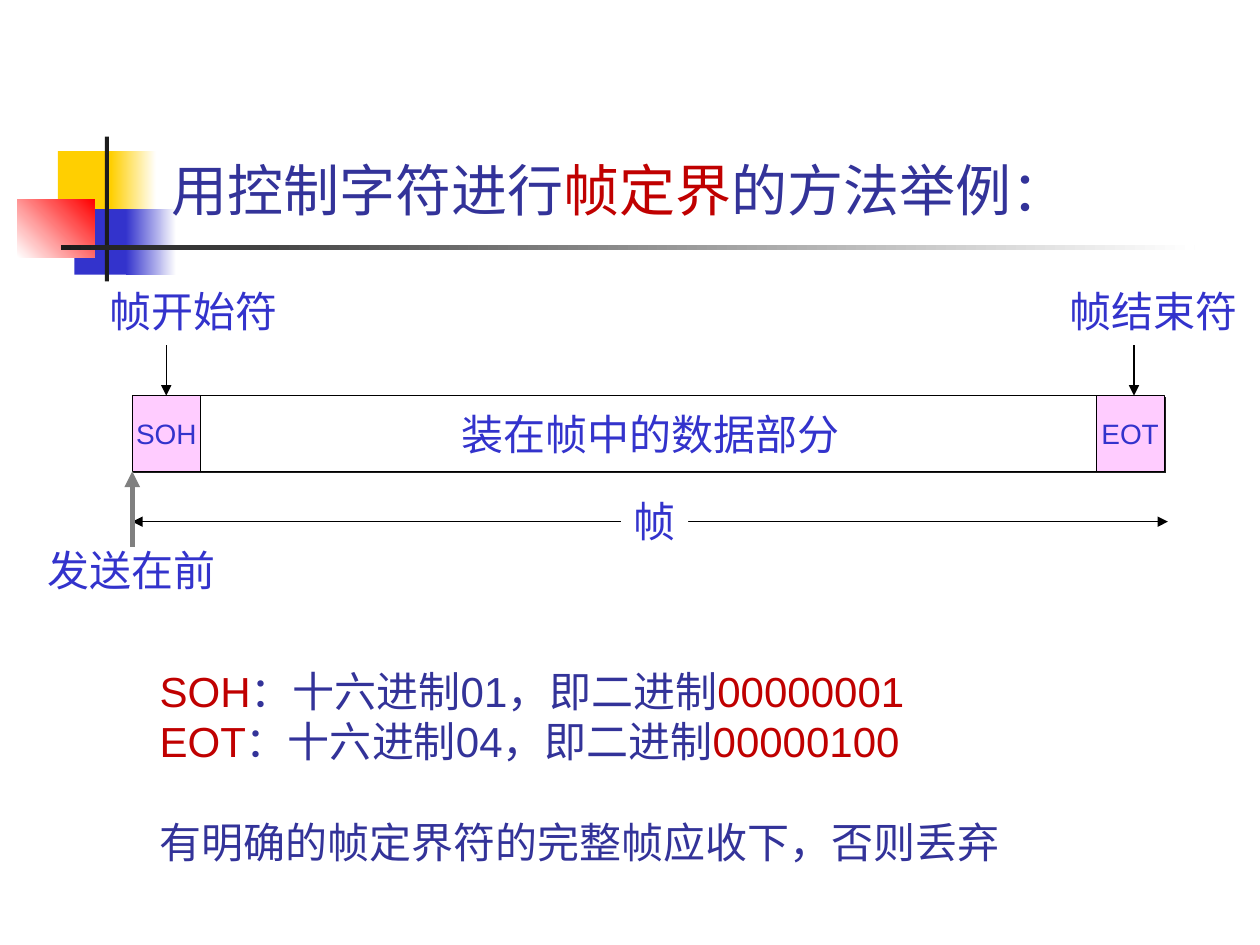
"""Build a slide on framing data with the control characters SOH and EOT."""
from lxml import etree
from pptx import Presentation
from pptx.dml.color import RGBColor
from pptx.enum.shapes import MSO_CONNECTOR, MSO_SHAPE
from pptx.enum.text import MSO_ANCHOR, PP_ALIGN
from pptx.oxml.ns import qn
from pptx.util import Pt

RECTANGLE = MSO_SHAPE.RECTANGLE
STRAIGHT = MSO_CONNECTOR.STRAIGHT
TOP, MIDDLE, BOTTOM = MSO_ANCHOR.TOP, MSO_ANCHOR.MIDDLE, MSO_ANCHOR.BOTTOM
LEFT, CENTER = PP_ALIGN.LEFT, PP_ALIGN.CENTER

COLORS = {
    "yellow": "FFCF01", "blue": "3333CC", "red": "FF0000", "dark": "1C1C1C",
    "white": "FFFFFF", "black": "000000", "gray": "808080", "pink": "FFCCFF",
    "navy": "333399", "crimson": "C00000",
}
RGB = {name: RGBColor.from_string(value) for name, value in COLORS.items()}


def add_rectangle(left, top, width, height, start, end=None, angle=0):
    shape = slide.shapes.add_shape(RECTANGLE, Pt(left), Pt(top), Pt(width), Pt(height))
    shape.shadow.inherit = False
    shape.line.fill.background()
    if end:
        shape.fill.gradient()
        shape.fill.gradient_angle = angle
        for stop, color in zip(shape.fill.gradient_stops, (start, end)):
            stop.color.rgb = RGB[color]
    else:
        shape.fill.solid()
        shape.fill.fore_color.rgb = RGB[start]
    return shape


def write_text(shape, lines, size, anchor=TOP, align=LEFT, wrap=False):
    frame = shape.text_frame
    frame.word_wrap = wrap
    frame.vertical_anchor = anchor
    for index, runs in enumerate(lines):
        paragraph = frame.paragraphs[0] if index == 0 else frame.add_paragraph()
        paragraph.alignment = align
        for text, color in runs:
            run = paragraph.add_run()
            run.text = text
            run.font.name = "Arial"
            run.font.size = Pt(size)
            run.font.color.rgb = RGB[color]
    return frame


presentation = Presentation()
presentation.slide_width = Pt(720)
presentation.slide_height = Pt(540)
slide = presentation.slides.add_slide(presentation.slide_layouts[6])

for ornament in (
    (33.1, 86.4, 34.6, 37.4, "yellow"),
    (63.4, 86.4, 25.9, 37.4, "yellow", "white"),
    (42.5, 119.5, 33.1, 37.4, "blue"),
    (72, 119.5, 28.8, 37.4, "blue", "white"),
    (10, 113.8, 44, 33.1, "white", "red", 45),
    (59.9, 78, 2.4, 82.8, "dark"),
    (34.7, 140.2, 648, 2.4, "dark", "white"),
):
    add_rectangle(*ornament)

title = slide.shapes.add_textbox(Pt(90.7), Pt(16.6), Pt(613.4), Pt(114))
write_text(
    title,
    [[("用控制字符进行", "navy"), ("帧定界", "crimson"), ("的方法举例：", "navy")]],
    32, anchor=BOTTOM, wrap=True,
)

for left, width, fill, text, size in (
    (75.6, 38.9, "pink", "SOH", 16),
    (114.5, 514, "white", "装在帧中的数据部分", 24),
    (626.4, 38.9, "pink", "EOT", 16),
):
    field = add_rectangle(left, 226.1, width, 43.2, fill)
    field.line.color.rgb = RGB["black"]
    field.line.width = Pt(0.75)
    effects = field._element.spPr.find(qn("a:effectLst"))
    shadow = etree.SubElement(
        effects, qn("a:outerShdw"), dist=str(Pt(1.4)), dir="2700000", algn="ctr", rotWithShape="0"
    )
    etree.SubElement(shadow, qn("a:srgbClr"), val=COLORS["dark"])
    write_text(field, [[(text, "blue")]], size, anchor=MIDDLE, align=CENTER)

for start_x, start_y, end_x, end_y, color, width, ends in (
    (75.6, 298.1, 667.4, 298.1, "black", 0.75, ("headEnd", "tailEnd")),
    (95, 197.3, 95, 226.1, "black", 0.75, ("tailEnd",)),
    (648, 197.3, 648, 226.1, "black", 0.75, ("tailEnd",)),
    (75.6, 312.5, 75.6, 269.3, "gray", 3, ("tailEnd",)),
):
    arrow = slide.shapes.add_connector(STRAIGHT, Pt(start_x), Pt(start_y), Pt(end_x), Pt(end_y))
    arrow.line.color.rgb = RGB[color]
    arrow.line.width = Pt(width)
    for end in ends:
        etree.SubElement(arrow.line._get_or_add_ln(), qn(f"a:{end}"), type="triangle")
    etree.SubElement(arrow._element.spPr, qn("a:effectLst"))

frame_label = add_rectangle(355, 279.4, 38.2, 36, "white")
write_text(frame_label, [[("帧", "blue")]], 24)

for left, top, text in (
    (55.4, 159.8, "帧开始符"),
    (604.1, 159.8, "帧结束符"),
    (20.2, 307.4, "发送在前"),
):
    label = slide.shapes.add_textbox(Pt(left), Pt(top), Pt(110.2), Pt(36))
    write_text(label, [[(text, "blue")]], 24)

lines = [
    [(name, "crimson"), (f"：十六进制{code}，即二进制", "navy"), (bits, "crimson")]
    for name, code, bits in (("SOH", "01", "00000001"), ("EOT", "04", "00000100"))
]
lines.append([("有明确的帧定界符的完整帧应收下，否则丢弃", "navy")])
explanation = slide.shapes.add_textbox(Pt(84.2), Pt(376.6), Pt(556.6), Pt(122.4))
frame = write_text(explanation, lines, 24, wrap=True)
frame.paragraphs[-1].space_before = Pt(28.8)

presentation.save("out.pptx")
